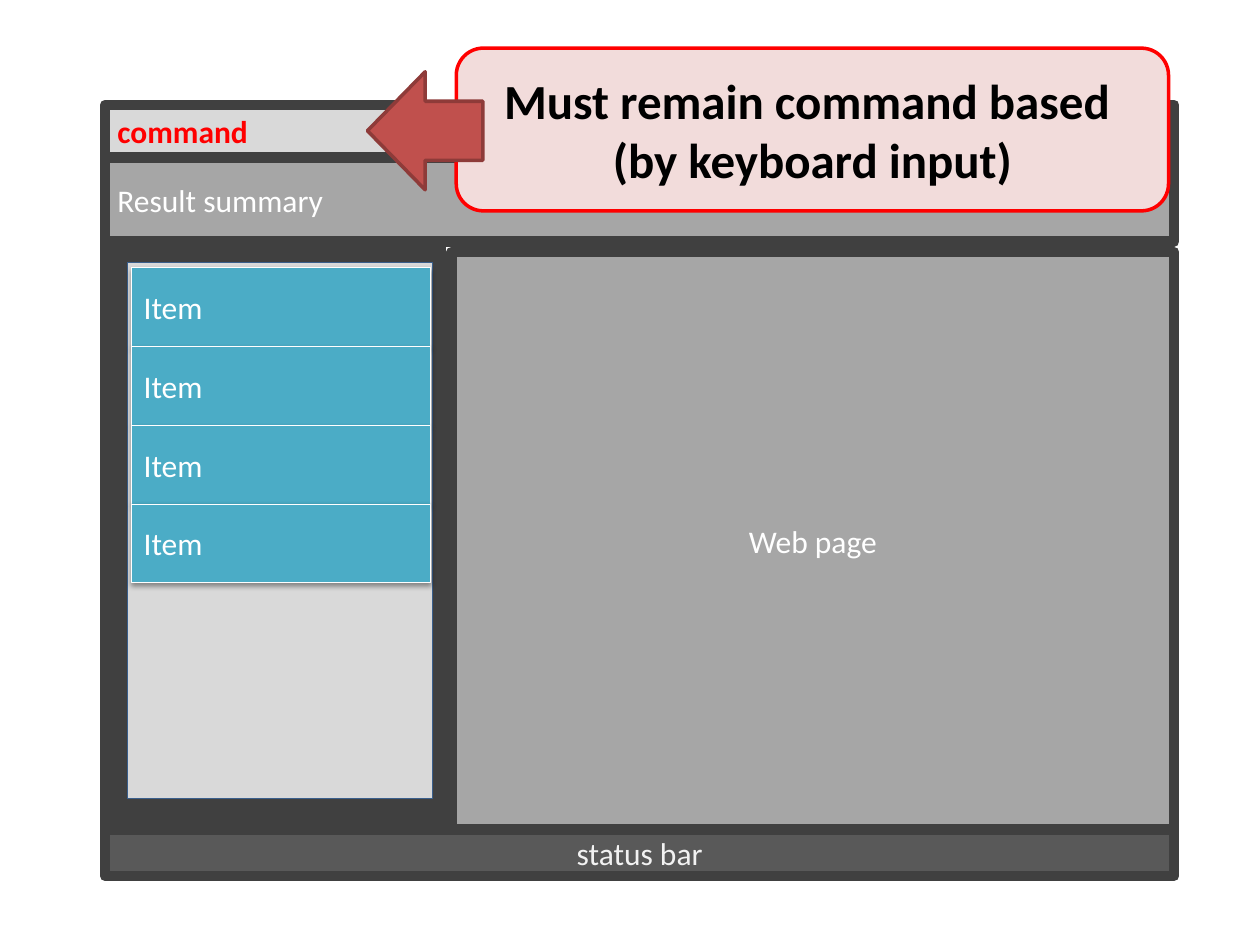
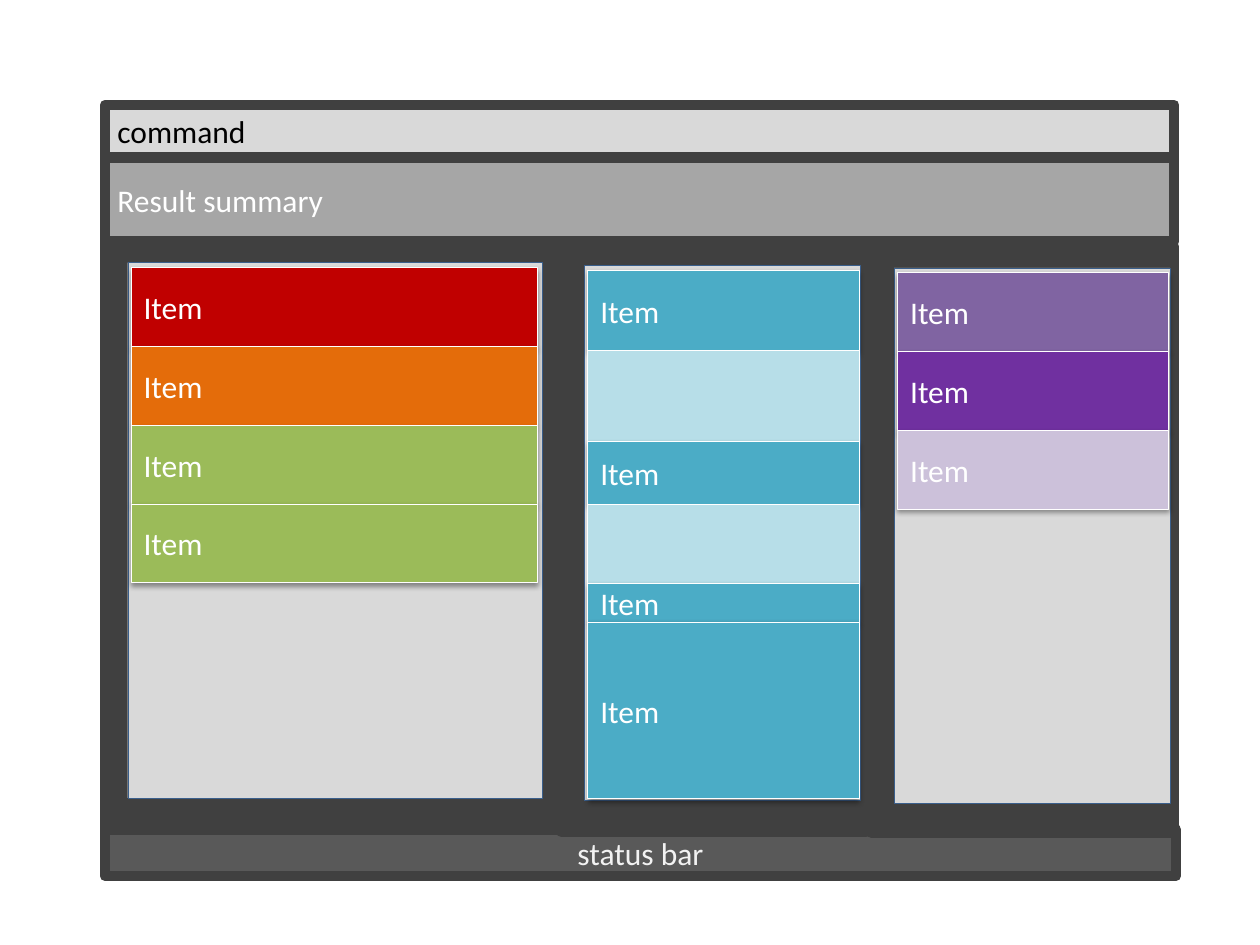
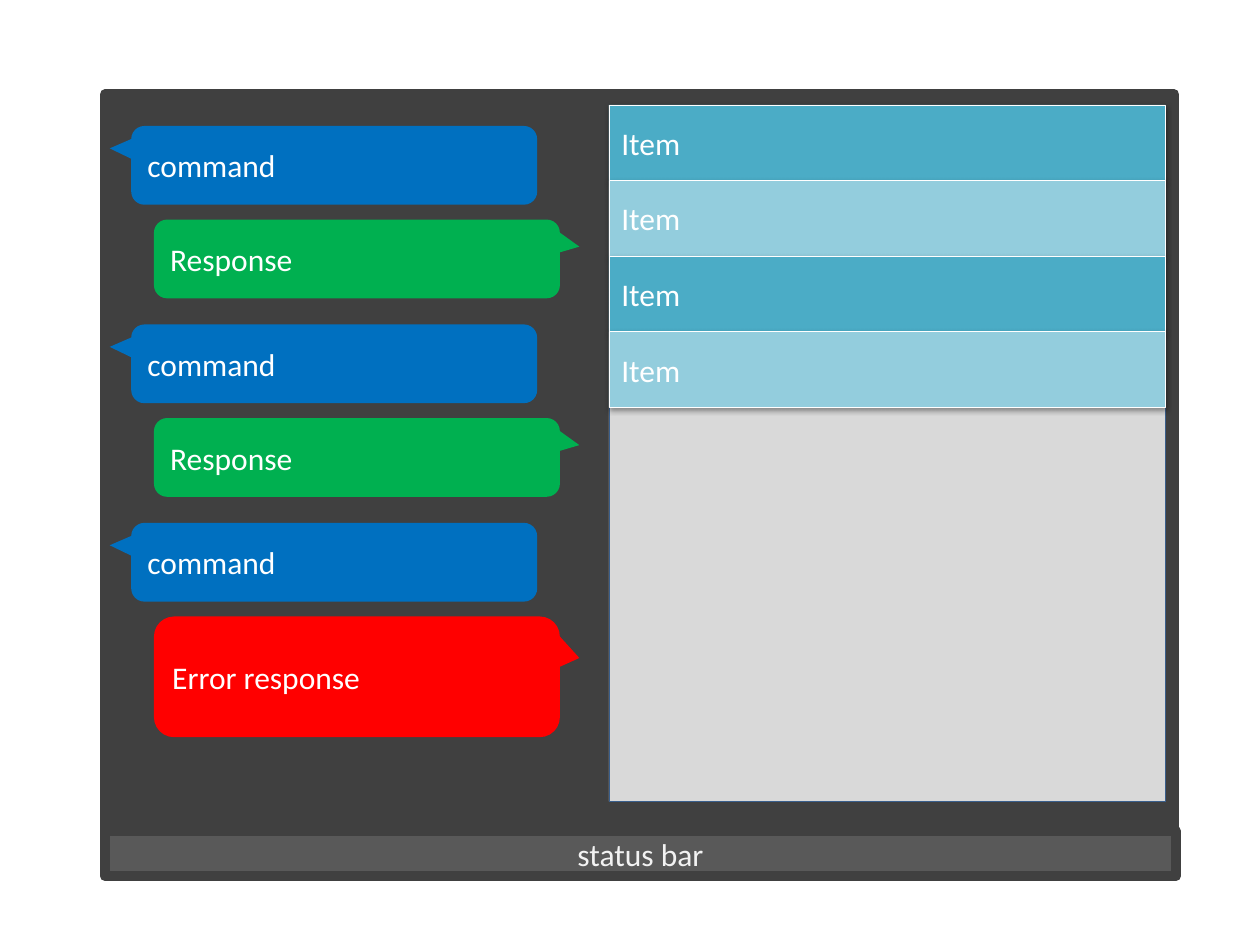
from dataclasses import dataclass

from lxml import etree
from pptx import Presentation
from pptx.dml.color import RGBColor
from pptx.enum.shapes import MSO_SHAPE as SHAPE
from pptx.enum.text import MSO_ANCHOR as ANCHOR, PP_ALIGN as ALIGN
from pptx.oxml.ns import qn
from pptx.util import Pt


@dataclass(frozen=True)
class Theme:
    font: str = "Calibri"
    body: int = 18
    note: int = 28
    frame_line: float = 6
    panel_line: float = 0.25
    item_line: float = 0.5
    note_line: float = 2
    black: str = "000000"
    white: str = "FFFFFF"
    frame: str = "404040"
    panel: str = "D9D9D9"
    panel_edge: str = "3A5F8C"
    summary: str = "A6A6A6"
    status: str = "595959"
    status_text: str = "F2F2F2"
    red: str = "FF0000"
    note_fill: str = "F2DCDB"
    arrow: str = "C0504D"
    arrow_edge: str = "8E3B39"
    blue: str = "0070C0"
    green: str = "00B050"
    teal: str = "4BACC6"
    teal_mid: str = "93CDDD"
    teal_light: str = "B7DEE8"


T = Theme()

# Content: lists hold (label, fill, height); rectangles are (left, top, width, height)
LEFT, WIDTH, ITEM_H, WIDE_ITEM_H = 60, 611, 45, 43.2

SEARCH_ITEMS = [("Item", T.teal, ITEM_H)] * 4
NOTE = ["Must remain command based ", "(by keyboard input)"]

TASK_ITEMS = [("Item", fill, ITEM_H)
              for fill in ("C00000", "E46C0A", "9BBB59", "9BBB59")]
SCHEDULE_ITEMS = [
    ("Item", T.teal, 46), ("", T.teal_light, 52), ("Item", T.teal, 36),
    ("", T.teal_light, 45), ("Item", T.teal, 22), ("Item", T.teal, 101),
]
OTHER_ITEMS = [("Item", fill, ITEM_H) for fill in ("8064A2", "7030A0", "CCC1DA")]

# Columns: frame, panel width, item width, items
SEARCH_COLUMN = ((LEFT, 138, 192, 336), 174, 171, SEARCH_ITEMS)
TASK_COLUMN = ((LEFT, 138, 261, 336), 237, 232, TASK_ITEMS)
SIDE_COLUMNS = [
    ((321, 139.5, 174, 336), 157.5, 155, SCHEDULE_ITEMS),
    ((498, 141, 173, 335), 157.5, 155, OTHER_ITEMS),
]

RESULT_ITEMS = [("Item", fill, WIDE_ITEM_H) for fill in (T.teal, T.teal_mid) * 2]
CHAT = [  # reply, fill, height
    ("Response", T.green, ITEM_H),
    ("Response", T.green, ITEM_H),
    ("Error response", T.red, 69),
]


# Shape helpers
def add_box(s, rect, fill, edge=None, edge_w=0, kind=SHAPE.RECTANGLE):
    sp = s.shapes.add_shape(kind, *map(Pt, rect))
    sp.shadow.inherit = False
    sp.fill.solid()
    sp.fill.fore_color.rgb = RGBColor.from_string(fill)
    if edge:
        sp.line.color.rgb = RGBColor.from_string(edge)
        sp.line.width = Pt(edge_w)
    else:
        sp.line.fill.background()
    return sp


def write(sp, lines, color=T.white, size=T.body, bold=False, align=ALIGN.LEFT):
    tf = sp.text_frame
    tf.word_wrap = True
    tf.vertical_anchor = ANCHOR.MIDDLE
    for i, line in enumerate(lines):
        p = tf.add_paragraph() if i else tf.paragraphs[0]
        p.alignment = align
        r = p.add_run()
        r.text = line
        r.font.name, r.font.size, r.font.bold = T.font, Pt(size), bold
        r.font.color.rgb = RGBColor.from_string(color)


def add_shadow(sp):
    effects = sp._element.spPr.find(qn("a:effectLst"))
    shadow = etree.SubElement(effects, qn("a:outerShdw"), blurRad=str(Pt(3.1)),
                              dist=str(Pt(1.6)), dir="5400000", rotWithShape="0")
    color = etree.SubElement(shadow, qn("a:srgbClr"), val=T.black)
    etree.SubElement(color, qn("a:alpha"), val="38000")


# Parts of the application window
def add_framed(s, rect, fill):
    return add_box(s, rect, fill, T.frame, T.frame_line)


def add_panel(s, rect):
    add_box(s, rect, T.panel, T.panel_edge, T.panel_line)


def add_items(s, left, top, width, items):
    for label, fill, height in items:
        sp = add_box(s, (left, top, width, height), fill, T.white, T.item_line)
        if label:
            write(sp, [label])
            add_shadow(sp)
        top += height


def add_column(s, frame, panel_w, item_w, items):
    left, top = frame[0] + 13, frame[1] + 12
    add_framed(s, frame, T.frame)
    add_panel(s, (left, top, panel_w, 306))
    add_items(s, left + 2, top + 3, item_w, items)


def add_header(s, color, bold=False):
    write(add_framed(s, (LEFT, 60, WIDTH, 30), T.panel), ["command"], color, bold=bold)
    write(add_framed(s, (LEFT, 90, WIDTH, 48), T.summary), ["Result summary"])


def add_status(s, top=474, width=WIDTH + 1):
    sp = add_framed(s, (LEFT, top, width, 500.5 - top), T.status)
    write(sp, ["status bar"], T.status_text, align=ALIGN.CENTER)


def add_bubble(s, rect, label, fill, tail):
    sp = add_box(s, rect, fill, kind=SHAPE.ROUNDED_RECTANGULAR_CALLOUT)
    for i, value in enumerate((*tail, 0.167)):
        sp.adjustments[i] = value
    write(sp, [label])


# Slides
def build_command_slide(s):
    add_header(s, T.red, bold=True)
    add_column(s, *SEARCH_COLUMN)
    page = add_framed(s, (258, 144, 413, 330), T.summary)
    write(page, ["Web page"], align=ALIGN.CENTER)
    add_status(s, width=WIDTH)
    note = add_box(s, (260.75, 27.5, 407, 93), T.note_fill, T.red, T.note_line,
                   SHAPE.ROUNDED_RECTANGLE)
    write(note, NOTE, T.black, T.note, True, ALIGN.CENTER)
    add_box(s, (210, 41, 66, 67.5), T.arrow, T.arrow_edge, T.note_line,
            SHAPE.LEFT_ARROW)


def build_columns_slide(s):
    add_header(s, T.black)
    add_column(s, *TASK_COLUMN)
    add_status(s)
    for column in SIDE_COLUMNS:
        add_column(s, *column)


def build_chat_slide(s):
    add_framed(s, (LEFT, 54, WIDTH, 421), T.frame)
    add_panel(s, (348, 60, 318, 398))
    add_items(s, 348, 60, 318, RESULT_ITEMS)
    add_status(s, top=475)
    for i, (reply, fill, height) in enumerate(CHAT):
        top = 72 + 113.4 * i
        add_bubble(s, (75, top, 232, ITEM_H), "command", T.blue, (-0.553, -0.215))
        add_bubble(s, (88, top + 53.5, 232, height), reply, fill, (0.548, -0.156))


def main():
    prs = Presentation()
    prs.slide_width, prs.slide_height = Pt(720), Pt(540)
    for build in (build_command_slide, build_columns_slide, build_chat_slide):
        build(prs.slides.add_slide(prs.slide_layouts[6]))
    prs.save("out.pptx")


if __name__ == "__main__":
    main()
